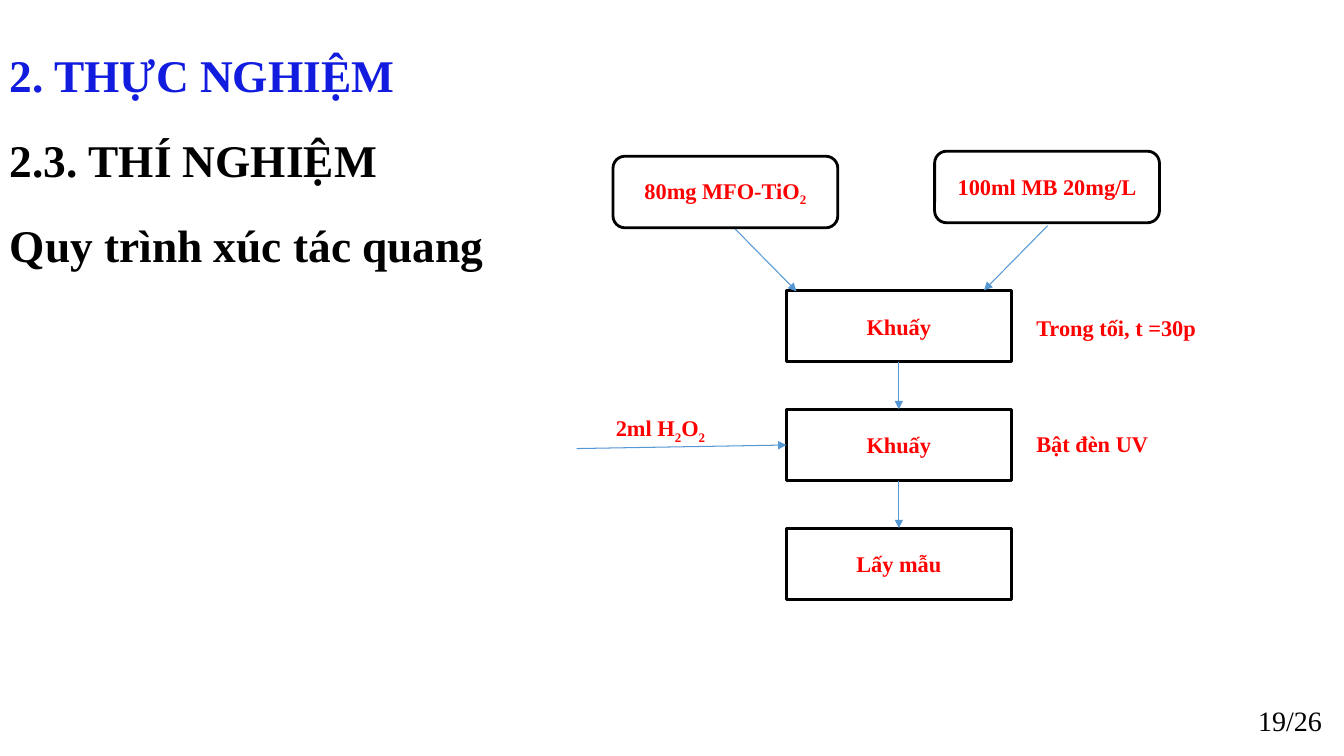
"""Build the photocatalysis procedure slide with its flow chart."""
from dataclasses import dataclass

from lxml.etree import SubElement
from pptx import Presentation
from pptx.dml.color import RGBColor
from pptx.enum.shapes import MSO_CONNECTOR as Connector, MSO_SHAPE as Preset
from pptx.enum.text import MSO_ANCHOR as Anchor, PP_ALIGN as Align
from pptx.oxml.ns import qn
from pptx.shapes.autoshape import Shape
from pptx.shapes.connector import Connector as Arrow
from pptx.slide import Slide
from pptx.text.text import TextFrame
from pptx.util import Emu, Pt

PX = 9144
FONT = "Times New Roman"
COLORS = {"heading": "121CDE", "black": "000000", "label": "FF0000",
          "arrow": "5597D3", "white": "FFFFFF"}
NODE_WIDTH, NODE_HEIGHT = 223, 71
STEP_LEFT, STEP_TOP, STEP_PITCH = 780, 288, 118
TOP, LEFT, BOTTOM = 0, 1, 2


@dataclass(frozen=True)
class Node:
    text: str
    left: int
    top: int
    preset: Preset


@dataclass(frozen=True)
class Line:
    text: str
    color: str = "label"
    size: float = 16
    bold: bool = True
    align: Align = Align.LEFT
    spacing: float = 1.0
    before: float = 0


@dataclass(frozen=True)
class Caption:
    lines: tuple[Line, ...]
    left: int
    top: int
    width: int
    height: int
    anchor: Anchor = Anchor.TOP


INGREDIENTS = (
    Node("80mg MFO-TiO_2_", 608, 155, Preset.ROUNDED_RECTANGLE),
    Node("100ml MB 20mg/L", 927, 150, Preset.ROUNDED_RECTANGLE),
)
STEPS = tuple(
    Node(text, STEP_LEFT, STEP_TOP + STEP_PITCH * row, Preset.RECTANGLE)
    for row, text in enumerate(("Khuấy", "Khuấy", "Lấy mẫu"))
)
CAPTIONS = (
    Caption((
        Line("2. THỰC NGHIỆM", "heading", 32.4, spacing=1.5),
        Line("2.3. THÍ NGHIỆM", "black", 32.4, spacing=1.5, before=2.4),
        Line("Quy trình xúc tác quang", "black", 32.4, spacing=1.5, before=2.4),
    ), 0, 15, 491, 260),
    Caption((Line("Trong tối, t =30p"),), 1018, 307, 254, 37),
    Caption((Line("2ml H_2_O_2_"),), 601, 406, 124, 37),
    Caption((Line("Bật đèn UV"),), 1018, 422, 132, 37),
    Caption((Line("19/26", "black", 20, False, Align.RIGHT),),
            1010, 695, 311, 40, Anchor.MIDDLE),
)


def px(length: int) -> Emu:
    """Turn pixels into EMU."""
    return Emu(length * PX)


def rgb(name: str) -> RGBColor:
    """Look up a named colour."""
    return RGBColor.from_string(COLORS[name])


def write(frame: TextFrame, lines: tuple[Line, ...], anchor: Anchor) -> None:
    """Write lines, lowering the parts enclosed in underscores."""
    frame.word_wrap = True
    frame.vertical_anchor = anchor
    for index, line in enumerate(lines):
        paragraph = frame.add_paragraph() if index else frame.paragraphs[0]
        paragraph.alignment = line.align
        paragraph.line_spacing = line.spacing
        paragraph.space_before = Pt(line.before)
        font = paragraph.font
        font.name, font.size, font.bold = FONT, Pt(line.size), line.bold
        font.color.rgb = rgb(line.color)
        for position, part in enumerate(line.text.split("_")):
            if part:
                run = paragraph.add_run()
                run.text = part
                if position % 2:
                    run.font._element.set("baseline", "-25000")


def add_node(slide: Slide, node: Node) -> Shape:
    """Draw an outlined box of the flow chart."""
    box = slide.shapes.add_shape(node.preset, px(node.left), px(node.top),
                                 px(NODE_WIDTH), px(NODE_HEIGHT))
    box.shadow.inherit = False
    box.fill.solid()
    box.fill.fore_color.rgb = rgb("white")
    box.line.color.rgb = rgb("black")
    box.line.width = Pt(2)
    write(box.text_frame, (Line(node.text, align=Align.CENTER),), Anchor.MIDDLE)
    return box


def add_caption(slide: Slide, caption: Caption) -> None:
    """Place free text."""
    box = slide.shapes.add_textbox(px(caption.left), px(caption.top),
                                   px(caption.width), px(caption.height))
    write(box.text_frame, caption.lines, caption.anchor)


def add_arrow(slide: Slide, start: tuple[int, int], end: tuple[int, int]) -> Arrow:
    """Draw a thin arrow between two points."""
    arrow = slide.shapes.add_connector(Connector.STRAIGHT, *map(px, start + end))
    arrow.line.color.rgb = rgb("arrow")
    arrow.line.width = Pt(0.75)
    SubElement(arrow.line._get_or_add_ln(), qn("a:tailEnd"), type="triangle")
    SubElement(arrow._element.spPr, qn("a:effectLst"))
    return arrow


def main() -> None:
    """Assemble and save the slide."""
    deck = Presentation()
    deck.slide_width, deck.slide_height = px(1333), px(750)
    slide = deck.slides.add_slide(deck.slide_layouts[6])
    for caption in CAPTIONS:
        add_caption(slide, caption)
    steps = [add_node(slide, step) for step in STEPS]

    add_arrow(slide, (726, 224), (790, 289))
    add_arrow(slide, (1039, 224), (976, 288))
    for upper, lower in zip(steps, steps[1:]):
        flow = add_arrow(slide, (0, 0), (0, 0))
        flow.begin_connect(upper, BOTTOM)
        flow.end_connect(lower, TOP)
    peroxide_feed = add_arrow(slide, (572, 445), (780, 442))
    peroxide_feed.end_connect(steps[1], LEFT)

    for ingredient in INGREDIENTS:
        add_node(slide, ingredient)
    deck.save("out.pptx")


if __name__ == "__main__":
    main()
